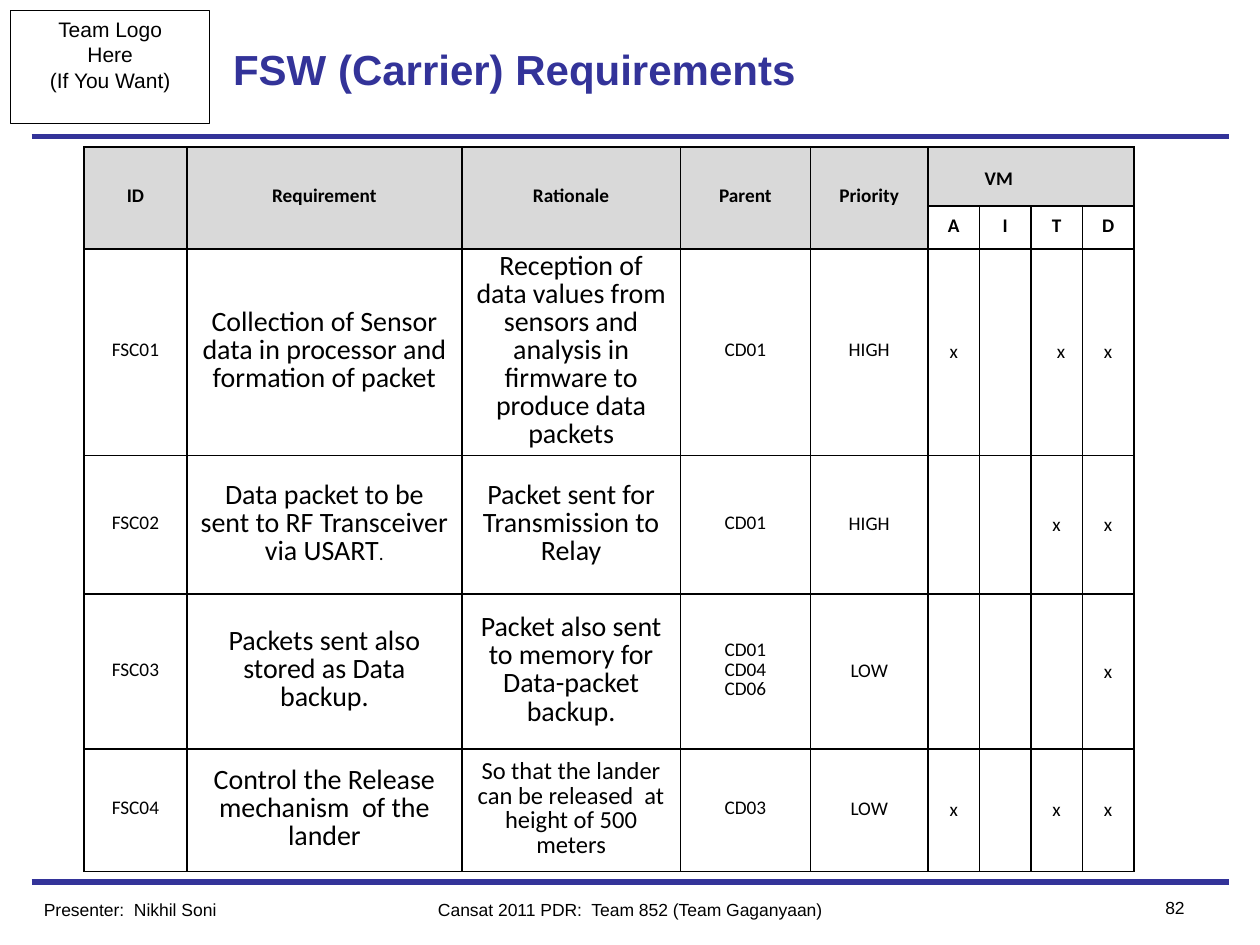
from lxml import etree
from pptx import Presentation, util as u
from pptx.dml.color import RGBColor
from pptx.enum import shapes, text
from pptx.oxml import ns

NAVY = RGBColor(0x33, 0x33, 0x99)
BLACK = RGBColor(0, 0, 0)
GREY = RGBColor(0xD9, 0xD9, 0xD9)
LEFT, CENTER, RIGHT = text.PP_ALIGN.LEFT, text.PP_ALIGN.CENTER, text.PP_ALIGN.RIGHT
COLUMNS, ROWS = 120, 90

COLUMN_WIDTHS = [9.8, 26.2, 20.8, 12.4, 11.2] + [4.9] * 4
ROW_HEIGHTS = [5.64, 4.08, 19.32, 13.2, 14.76, 11.64]
HEADINGS = ["ID", "Requirement", "Rationale", "Parent", "Priority"]
METHODS = "AITD"
REQUIREMENTS = [
    ("FSC01", "Collection of Sensor data in processor and formation of packet",
     "Reception of data values from sensors and analysis in firmware to produce data packets",
     "CD01", "HIGH", "ATD"),
    ("FSC02", "Data packet to be sent to RF Transceiver via USART",
     "Packet sent for Transmission to Relay", "CD01", "HIGH", "TD"),
    ("FSC03", "Packets sent also stored as Data backup.",
     "Packet also sent to memory for Data-packet backup.", "CD01\nCD04\nCD06", "LOW", "D"),
    ("FSC04", "Control the Release mechanism  of the lander",
     "So that the lander can be released  at height of 500 meters", "CD03", "LOW", "ATD"),
]


class SlideBuilder:
    heading_font = "Arial"
    table_font = "Calibri"

    def __init__(self, presentation):
        self.column = presentation.slide_width / COLUMNS
        self.row = presentation.slide_height / ROWS
        self.slide = presentation.slides.add_slide(presentation.slide_layouts[5])

    def box(self, left, top, width, height):
        return (int(left * self.column), int(top * self.row),
                int(width * self.column), int(height * self.row))

    def set_text(self, frame, words, size, font, color=BLACK, bold=False, align=LEFT, spacing=None, after=None):
        frame.text = words
        for paragraph in frame.paragraphs:
            paragraph.alignment = align
            paragraph.line_spacing = spacing
            paragraph.space_after = after
            paragraph.font.size = u.Pt(size)
            paragraph.font.name = font
            paragraph.font.bold = bold
            paragraph.font.color.rgb = color

    def title(self, words, *place):
        shape = self.slide.shapes.title
        shape.left, shape.top, shape.width, shape.height = self.box(*place)
        shape.text_frame.vertical_anchor = text.MSO_ANCHOR.MIDDLE
        self.set_text(shape.text_frame, words, 24, self.heading_font, NAVY, True)

    def rule(self, row):
        left, top, width, _ = self.box(3, row, 114, 0)
        line = self.slide.shapes.add_connector(shapes.MSO_CONNECTOR.STRAIGHT, left, top, left + width, top)
        line.line.color.rgb = NAVY
        line.line.width = u.Pt(3)
        etree.SubElement(line._element.spPr, ns.qn("a:effectLst"))

    def frame(self, words, *place):
        shape = self.slide.shapes.add_shape(shapes.MSO_SHAPE.RECTANGLE, *self.box(*place))
        shape.shadow.inherit = False
        shape.fill.background()
        shape.line.color.rgb = BLACK
        shape.line.width = u.Pt(0.5)
        shape.text_frame.word_wrap = False
        shape.text_frame.vertical_anchor = text.MSO_ANCHOR.TOP
        self.set_text(shape.text_frame, words, 12, self.heading_font, align=CENTER)

    def label(self, words, align, *place):
        shape = self.slide.shapes.add_textbox(*self.box(*place))
        shape.text_frame.word_wrap = True
        self.set_text(shape.text_frame, words, 10, self.heading_font, align=align)

    def table(self, left, top, widths, heights):
        place = self.box(left, top, sum(widths), sum(heights))
        table = self.slide.shapes.add_table(len(heights), len(widths), *place).table
        table.first_row = table.horz_banding = False
        for column, width in zip(table.columns, widths):
            column.width = int(width * self.column)
        for row, height in zip(table.rows, heights):
            row.height = int(height * self.row)
        for cell in table.iter_cells():
            self.border(cell)
            cell.fill.background()
        return table

    def border(self, cell):
        properties = cell._tc.get_or_add_tcPr()
        for side in ("a:lnL", "a:lnR", "a:lnT", "a:lnB"):
            line = etree.SubElement(properties, ns.qn(side), w=str(u.Pt(1)))
            fill = etree.SubElement(line, ns.qn("a:solidFill"))
            etree.SubElement(fill, ns.qn("a:srgbClr"), val=str(BLACK))

    def cell(self, cell, words, size=11, fill=None, top=0.03, **style):
        cell.vertical_anchor = text.MSO_ANCHOR.MIDDLE
        cell.margin_top = u.Inches(top)
        if fill:
            cell.fill.solid()
            cell.fill.fore_color.rgb = fill
        style = {"align": CENTER, "spacing": 0.82} | style
        self.set_text(cell.text_frame, words, size, self.table_font, **style)


def fill_requirements(builder):
    table = builder.table(8, 14, COLUMN_WIDTHS, ROW_HEIGHTS)
    first_method = len(HEADINGS)
    for column, heading in enumerate(HEADINGS):
        table.cell(0, column).merge(table.cell(1, column))
        builder.cell(table.cell(0, column), heading, fill=GREY, bold=True)
    group = table.cell(0, first_method)
    group.merge(table.cell(0, len(COLUMN_WIDTHS) - 1))
    builder.cell(group, "VM", fill=GREY, top=0.08, bold=True, align=LEFT, spacing=None)
    group.margin_left = u.Inches(0.45)
    for column, method in enumerate(METHODS, first_method):
        builder.cell(table.cell(1, column), method, bold=True)

    for row, (code, requirement, rationale, parent, priority, marks) in enumerate(REQUIREMENTS, 2):
        builder.cell(table.cell(row, 0), code)
        builder.cell(table.cell(row, 1), requirement, 16)
        builder.cell(table.cell(row, 2), rationale, 14 if code == "FSC04" else 16)
        builder.cell(table.cell(row, 3), parent)
        priority_style = {} if code == "FSC01" else {"spacing": 0.93, "after": u.Pt(10)}
        builder.cell(table.cell(row, 4), priority, **priority_style)
        for column, method in enumerate(METHODS, first_method):
            if method in marks:
                builder.cell(table.cell(row, column), "x", top=0.05, spacing=None)

    table.cell(2, first_method + METHODS.index("T")).margin_left = u.Inches(0.17)
    full_stop = table.cell(3, 1).text_frame.paragraphs[0].add_run()
    full_stop.text = "."
    full_stop.font.size = u.Pt(11)


def main():
    presentation = Presentation()
    presentation.slide_width, presentation.slide_height = u.Inches(10), u.Inches(7.5)
    builder = SlideBuilder(presentation)
    builder.rule(84)
    builder.rule(13)
    builder.frame("Team Logo\nHere\n(If You Want)", 1, 1, 19, 10.8)
    builder.title("FSW (Carrier) Requirements", 21, 1, 78, 11)
    fill_requirements(builder)
    builder.label("Presenter:  Nikhil Soni", LEFT, 3, 85, 30, 3.2)
    builder.label("Cansat 2011 PDR:  Team 852 (Team Gaganyaan)", CENTER, 36, 85, 48, 3.2)
    builder.label("82", RIGHT, 105, 84.8, 9, 3.2)
    presentation.save("out.pptx")


if __name__ == "__main__":
    main()
